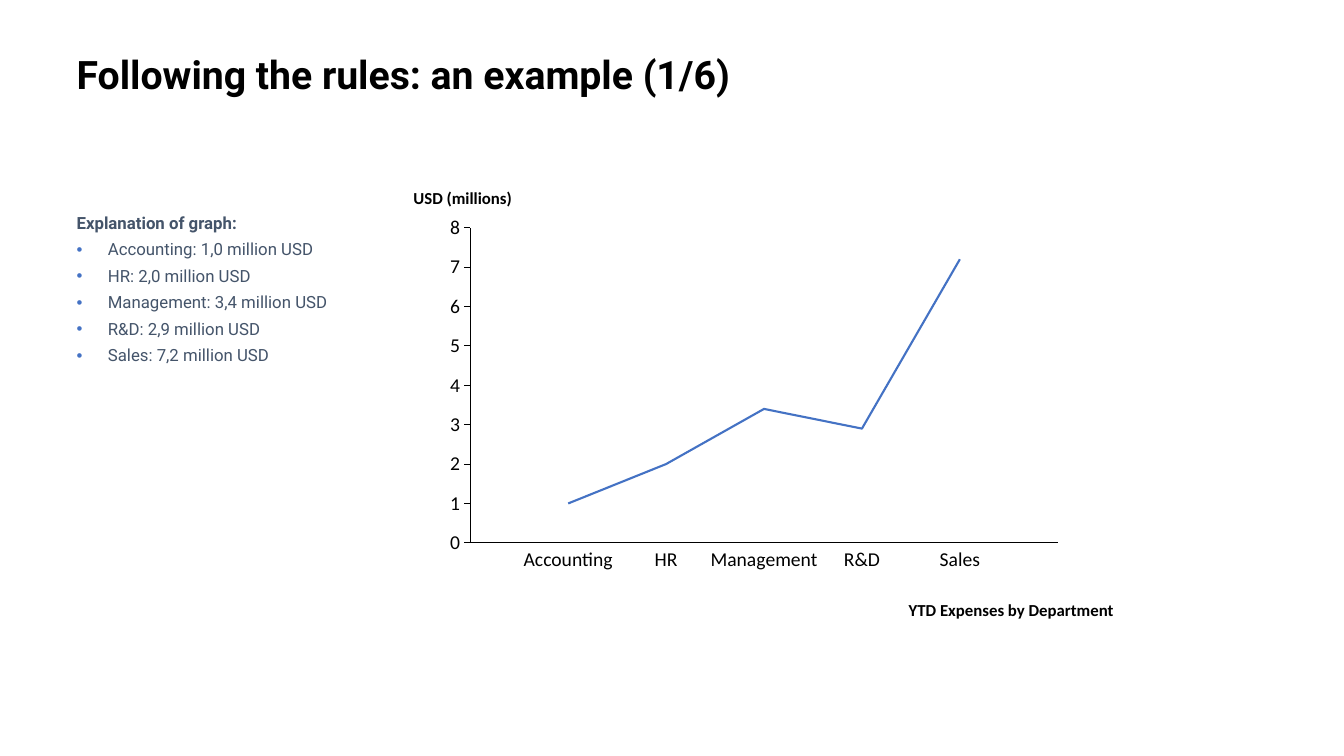
from lxml import etree
from pptx import Presentation
from pptx.chart.data import CategoryChartData
from pptx.dml.color import RGBColor
from pptx.enum.chart import XL_CHART_TYPE as ChartType, XL_TICK_LABEL_POSITION as LabelPosition
from pptx.enum.chart import XL_TICK_MARK as TickMark
from pptx.enum.text import MSO_ANCHOR as Anchor, MSO_AUTO_SIZE as AutoSize, PP_ALIGN as Align
from pptx.oxml import parse_xml
from pptx.oxml.ns import nsdecls, qn
from pptx.util import Inches, Pt

BLACK, BLUE, SLATE = "000000", "4472C4", "44546A"
EXPENSES = {"Accounting": 1.0, "HR": 2.0, "Management": 3.4, "R&D": 2.9, "Sales": 7.2}
CHART_LEFT, CHART_TOP, CHART_WIDTH, CHART_HEIGHT = 4.32, 2.12, 6.26, 3.41
PLOT = {"x": 0.055, "y": 0.041, "w": 0.931, "h": 0.917}


def color(value):
    """Turn a hex string into a colour."""
    return RGBColor.from_string(value)


def place(shape, left, top, width, height):
    """Move and size a shape, in inches."""
    shape.left, shape.top = Inches(left), Inches(top)
    shape.width, shape.height = Inches(width), Inches(height)


def set_frame(frame, margins, wrap=True, anchor=Anchor.TOP):
    """Set margins, wrapping and anchoring of a text frame."""
    frame.auto_size = AutoSize.NONE
    frame.word_wrap, frame.vertical_anchor = wrap, anchor
    left, top, right, bottom = (Inches(margin) for margin in margins)
    frame.margin_left, frame.margin_top = left, top
    frame.margin_right, frame.margin_bottom = right, bottom


def write(para, text, size=12, font="Calibri", fill=BLACK, bold=False,
          align=Align.CENTER, line=1.0, before=0):
    """Write one formatted span into a paragraph."""
    para.alignment, para.line_spacing, para.space_before = align, line, Pt(before)
    span = para.add_run()
    span.text = text
    span.font.size, span.font.name, span.font.bold = Pt(size), font, bold
    span.font.color.rgb = color(fill)


def set_bullet(para, shown):
    """Give a paragraph a hanging blue bullet, or none."""
    properties = para._p.get_or_add_pPr()
    indent = Inches(0.31) if shown else 0
    properties.set("marL", str(indent))
    properties.set("indent", str(-indent))
    if shown:
        bullet_color = etree.SubElement(properties, qn("a:buClr"))
        etree.SubElement(bullet_color, qn("a:srgbClr"), val=BLUE)
        etree.SubElement(properties, qn("a:buChar"), char="•")
    else:
        etree.SubElement(properties, qn("a:buNone"))


def add_label(slide, text, left, top, width, height, margins=(0, 0, 0, 0), wrap=False, **style):
    """Add a text box with one line."""
    box = slide.shapes.add_textbox(*(Inches(n) for n in (left, top, width, height)))
    set_frame(box.text_frame, margins, wrap)
    write(box.text_frame.paragraphs[0], text, **style)


def fill_explanation(body):
    """Fill the body placeholder with a heading and one bullet per department."""
    place(body, 0.76, 2.13, 4.04, 1.67)
    frame = body.text_frame
    set_frame(frame, (0, 0, 0, 0))
    amounts = [f"{name}: {value:.1f} million USD".replace(".", ",") for name, value in EXPENSES.items()]
    for index, text in enumerate(["Explanation of graph:"] + amounts):
        para = frame.add_paragraph() if index else frame.paragraphs[0]
        write(para, text, font="Roboto", fill=SLATE, bold=index == 0,
              align=Align.JUSTIFY, line=0.9, before=6 if index else 0)
        set_bullet(para, index > 0)


def format_axis(axis, tick):
    """Draw a plain black axis without gridlines."""
    axis.has_major_gridlines = False
    axis.major_tick_mark, axis.minor_tick_mark = tick, TickMark.NONE
    axis.format.line.color.rgb = color(BLACK)
    axis.format.line.width = Pt(0.75)


def set_plot_layout(chart):
    """Fix the inner plot area and start the line on the value axis."""
    parts = "".join(f'<c:{key}Mode val="edge"/>' for key in "xy")
    parts += "".join(f'<c:{key} val="{value}"/>' for key, value in PLOT.items())
    plot_area = chart._chartSpace.find(".//" + qn("c:plotArea"))
    for old in plot_area.findall(qn("c:layout")):
        plot_area.remove(old)
    plot_area.insert(0, parse_xml(
        f'<c:layout {nsdecls("c")}><c:manualLayout><c:layoutTarget val="inner"/>'
        f'{parts}</c:manualLayout></c:layout>'))
    crosses = plot_area.find(qn("c:valAx")).find(qn("c:crosses"))
    crosses.addnext(parse_xml(f'<c:crossBetween {nsdecls("c")} val="midCat"/>'))


def add_expense_chart(slide):
    """Add the line chart, with an empty category at each end."""
    values = [None, *EXPENSES.values(), None]
    chart_data = CategoryChartData()
    chart_data.categories = [str(number + 1) for number in range(len(values))]
    chart_data.add_series("Series 1", values)
    bounds = (Inches(n) for n in (CHART_LEFT, CHART_TOP, CHART_WIDTH, CHART_HEIGHT))
    chart = slide.shapes.add_chart(ChartType.LINE, *bounds, chart_data).chart
    chart.has_title = chart.has_legend = False
    chart.font.size, chart.font.name = Pt(10), "Calibri"
    chart.font.color.rgb = color(BLACK)
    chart.plots[0].vary_by_categories = False
    series = chart.plots[0].series[0]
    series.smooth = False
    series.format.line.color.rgb = color(BLUE)
    series.format.line.width = Pt(1.5)

    format_axis(chart.category_axis, TickMark.NONE)
    chart.category_axis.tick_label_position = LabelPosition.NONE
    axis = chart.value_axis
    format_axis(axis, TickMark.OUTSIDE)
    axis.minimum_scale, axis.maximum_scale, axis.major_unit = 0, 8, 1
    labels = axis.tick_labels
    labels.number_format, labels.number_format_is_linked = '0;"-"0', False
    labels.font.size, labels.font.name = Pt(14), "Calibri"
    labels.font.color.rgb = color(BLACK)
    set_plot_layout(chart)


def add_department_labels(slide):
    """Centre each department name under its point of the line."""
    step = CHART_WIDTH * PLOT["w"] / (len(EXPENSES) + 1)
    origin = CHART_LEFT + CHART_WIDTH * PLOT["x"]
    width = 1.08
    for number, name in enumerate(EXPENSES, start=1):
        add_label(slide, name, origin + number * step - width / 2, 5.45, width, 0.21,
                  size=14, line=0.9)


def main():
    """Build the slide and save it."""
    deck = Presentation()
    deck.slide_width, deck.slide_height = Inches(13.33), Inches(7.5)
    page = deck.slides.add_slide(deck.slide_layouts[1])
    title = page.shapes.title
    place(title, 0.76, 0.3, 11.98, 0.72)
    set_frame(title.text_frame, (0, 0.05, 0.1, 0.05), anchor=Anchor.BOTTOM)
    write(title.text_frame.paragraphs[0], "Following the rules: an example (1/6)",
          size=28, font="Roboto", bold=True, align=Align.LEFT, line=0.9)
    fill_explanation(page.placeholders[1])
    add_expense_chart(page)
    add_department_labels(page)
    caption = {"margins": (0.1, 0.05, 0.1, 0.05), "wrap": True, "bold": True}
    add_label(page, "USD (millions)", 3.91, 1.81, 1.36, 0.3, **caption)
    add_label(page, "YTD Expenses by Department", 8.85, 5.9, 2.36, 0.3, **caption)
    deck.save("out.pptx")


if __name__ == "__main__":
    main()
